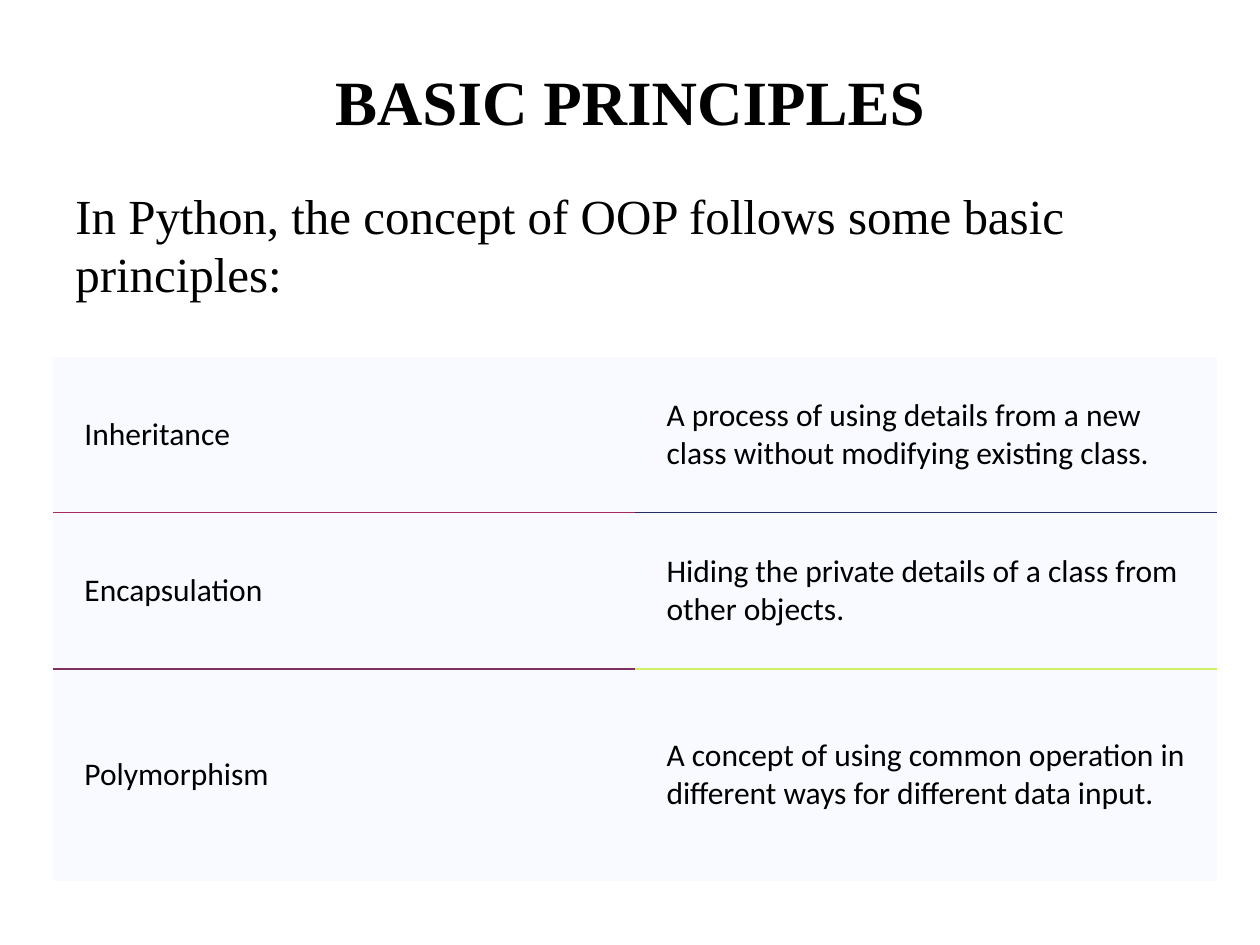
import pptx
import pptx.dml.color
import pptx.enum.text
import pptx.oxml
import pptx.oxml.ns
import pptx.util
from pptx.util import Inches

RGBColor = pptx.dml.color.RGBColor
Align = pptx.enum.text.PP_ALIGN
Anchor = pptx.enum.text.MSO_ANCHOR

BLACK = RGBColor(0x00, 0x00, 0x00)
PALE_BLUE = RGBColor(0xF8, 0xFA, 0xFF)
CRIMSON = RGBColor(0xA8, 0x28, 0x61)
NAVY = RGBColor(0x28, 0x2B, 0x61)
PURPLE = RGBColor(0x80, 0x2F, 0x61)
LIME = RGBColor(0xD0, 0xF1, 0x67)

# Term, meaning, and the rule colours below each of them
PRINCIPLES = [
    ("Inheritance", "A process of using details from a new class "
     "without modifying existing class.", (CRIMSON, NAVY)),
    ("Encapsulation", "Hiding the private details of a class from other objects.",
     (PURPLE, LIME)),
    ("Polymorphism", "A concept of using common operation in different ways "
     "for different data input.", (None, None)),
]
ROW_HEIGHTS = [1.24, 1.24, 1.68]
COLUMN_WIDTH = 4.62


class PrinciplesSlide:
    heading_font = "Times New Roman"
    table_font = "Calibri"

    def __init__(self, deck):
        self.slide = deck.slides.add_slide(deck.slide_layouts[6])

    def run(self, paragraph, words, font, size, bold=False):
        run = paragraph.add_run()
        run.text = words
        run.font.name = font
        run.font.size = pptx.util.Pt(size)
        run.font.bold = bold
        run.font.color.rgb = BLACK

    def text(self, words, top, height, size, bold=False, align=Align.LEFT,
             anchor=Anchor.TOP, space_before=0):
        box = self.slide.shapes.add_textbox(
            Inches(0.5), Inches(top), Inches(9), Inches(height))
        frame = box.text_frame
        frame.word_wrap = True
        frame.vertical_anchor = anchor
        paragraph = frame.paragraphs[0]
        paragraph.alignment = align
        paragraph.space_before = pptx.util.Pt(space_before)
        self.run(paragraph, words, self.heading_font, size, bold)

    def border(self, cell, sides):
        """Set all four sides; a side without a colour gets no line."""
        properties = cell._tc.get_or_add_tcPr()
        for position, side in enumerate(("lnL", "lnR", "lnT", "lnB")):
            color = sides.get(side)
            paint = (f'<a:solidFill><a:srgbClr val="{color}"/></a:solidFill>'
                     if color else "<a:noFill/>")
            properties.insert(position, pptx.oxml.parse_xml(
                f'<a:{side} {pptx.oxml.ns.nsdecls("a")} w="{pptx.util.Pt(0.75)}">'
                f"{paint}</a:{side}>"))

    def cell(self, cell, words, above, below):
        cell.fill.solid()
        cell.fill.fore_color.rgb = PALE_BLUE
        cell.vertical_anchor = Anchor.MIDDLE
        cell.margin_left = cell.margin_right = Inches(0.25)
        cell.margin_top = cell.margin_bottom = Inches(0.12)
        self.run(cell.text_frame.paragraphs[0], words, self.table_font, 18)
        self.border(cell, {"lnT": above, "lnB": below})

    def table(self, principles, left, top):
        table = self.slide.shapes.add_table(
            len(principles), 2, Inches(left), Inches(top),
            Inches(2 * COLUMN_WIDTH), Inches(sum(ROW_HEIGHTS))).table
        table.first_row = table.horz_banding = False
        for column in table.columns:
            column.width = Inches(COLUMN_WIDTH)
        rules_above = (None, None)
        for row, (term, meaning, rules_below) in enumerate(principles):
            table.rows[row].height = Inches(ROW_HEIGHTS[row])
            for column, words in enumerate((term, meaning)):
                self.cell(table.cell(row, column), words,
                          rules_above[column], rules_below[column])
            rules_above = rules_below


def main():
    deck = pptx.Presentation()
    deck.slide_width, deck.slide_height = Inches(10), Inches(7.5)
    page = PrinciplesSlide(deck)

    # Title and introduction
    page.text("BASIC PRINCIPLES", 0.17, 1.25, 36, bold=True,
              align=Align.CENTER, anchor=Anchor.MIDDLE)
    page.text("In Python, the concept of OOP follows some basic principles:",
              1.42, 4.95, 28, space_before=5.6)

    # Table of principles
    page.table(PRINCIPLES, 0.42, 2.83)

    deck.save("out.pptx")


if __name__ == "__main__":
    main()
